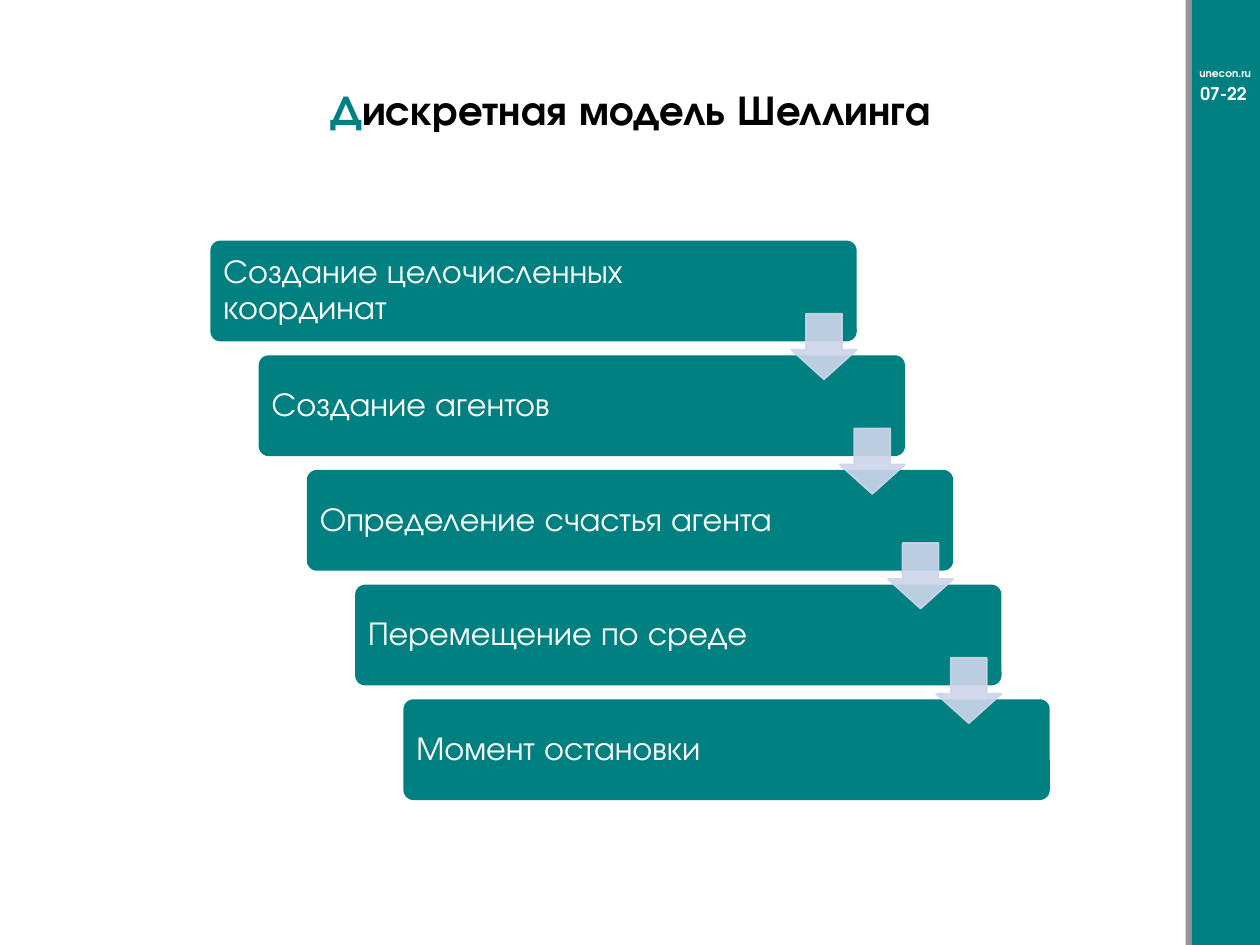
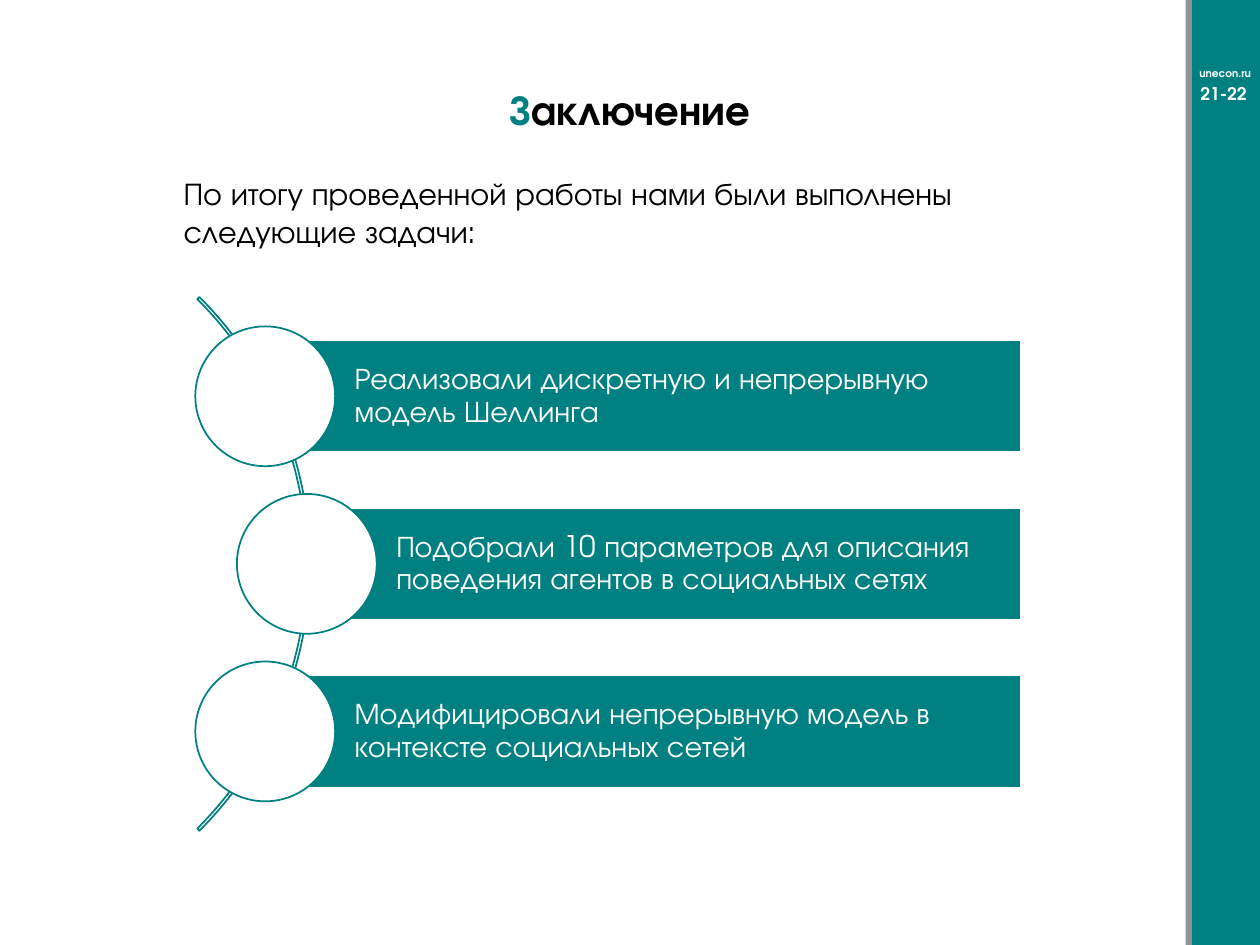
"""Build two slides: the steps of the discrete Schelling model and the conclusion."""
from dataclasses import dataclass

import pptx
import pptx.dml.color
import pptx.enum.shapes
import pptx.enum.text
import pptx.oxml.ns
import pptx.util
from lxml import etree

Inches = pptx.util.Inches
Shape = pptx.enum.shapes.MSO_SHAPE
Align = pptx.enum.text.PP_ALIGN
Anchor = pptx.enum.text.MSO_ANCHOR


@dataclass(frozen=True)
class Theme:
    font: str = "TeX Gyre Adventor"
    teal: str = "008080"
    gray: str = "939598"
    arrow: str = "CFD5EA"
    white: str = "FFFFFF"
    black: str = "000000"
    site_size: int = 6
    page_size: int = 10
    title_size: int = 24
    intro_size: int = 18
    step_size: int = 19
    result_size: int = 17


theme = Theme()


def add_shape(slide, kind, box, fill=None, line=None, adjustments=()):
    shape = slide.shapes.add_shape(kind, *map(Inches, box))
    shape.shadow.inherit = False
    for index, value in enumerate(adjustments):
        shape.adjustments[index] = value
    if fill:
        shape.fill.solid()
        shape.fill.fore_color.rgb = pptx.dml.color.RGBColor.from_string(fill)
    else:
        shape.fill.background()
    if line:
        shape.line.color.rgb = pptx.dml.color.RGBColor.from_string(line)
        shape.line.width = pptx.util.Pt(1)
    else:
        shape.line.fill.background()
    return shape


def write_text(shape, runs, size, bold=False, align=Align.LEFT, anchor=Anchor.TOP,
               insets=(0.1, 0.05, 0.1, 0.05), spacing=None, wrap=True):
    frame = shape.text_frame
    frame.word_wrap = wrap
    frame.vertical_anchor = anchor
    frame.margin_left, frame.margin_top, frame.margin_right, frame.margin_bottom = map(Inches, insets)
    paragraph = frame.paragraphs[0]
    paragraph.alignment = align
    paragraph.line_spacing = spacing
    for text, color in runs:
        run = paragraph.add_run()
        run.text = text
        run.font.name = theme.font
        run.font.size = pptx.util.Pt(size)
        run.font.bold = bold
        run.font.color.rgb = pptx.dml.color.RGBColor.from_string(color)


presentation = pptx.Presentation()
presentation.slide_width = Inches(10)
presentation.slide_height = Inches(7.5)

slides = []
for title, page, title_left, title_width in [
    ("Дискретная модель Шеллинга", "07-22", 2.3, 5.41),
    ("Заключение", "21-22", 3.86, 2.28),
]:
    slide = presentation.slides.add_slide(presentation.slide_layouts[6])
    slides.append(slide)
    add_shape(slide, Shape.RECTANGLE, (9.41, 0, 0.06, 7.5), theme.gray)
    add_shape(slide, Shape.RECTANGLE, (9.46, 0, 0.54, 7.5), theme.teal)
    site_box = slide.shapes.add_textbox(*map(Inches, (9.42, 0.48, 0.62, 0.2)))
    write_text(site_box, [("unecon.ru", theme.white)], theme.site_size, bold=True, anchor=Anchor.MIDDLE)
    page_box = slide.shapes.add_textbox(*map(Inches, (9.42, 0.61, 0.58, 0.27)))
    write_text(page_box, [(page, theme.white)], theme.page_size, bold=True, align=Align.CENTER)
    title_box = slide.shapes.add_textbox(*map(Inches, (title_left, 0.61, title_width, 0.5)))
    write_text(title_box, [(title[0], theme.teal), (title[1:], theme.black)], theme.title_size,
               bold=True, align=Align.CENTER, wrap=False)

model_slide, conclusion_slide = slides

steps = [
    "Создание целочисленных координат",
    "Создание агентов",
    "Определение счастья агента",
    "Перемещение по среде",
    "Момент остановки",
]
step_right, step_down = 0.383, 0.91
for index, step in enumerate(steps):
    box = (1.67 + index * step_right, 1.91 + index * step_down, 5.13, 0.8)
    step_shape = add_shape(model_slide, Shape.ROUNDED_RECTANGLE, box, theme.teal, adjustments=(0.1,))
    write_text(step_shape, [(step, theme.white)], theme.step_size, anchor=Anchor.MIDDLE,
               insets=(0.08, 0.08, 0.98, 0.08), spacing=0.9)

for index in range(len(steps) - 1):
    box = (6.28 + index * step_right, 2.49 + index * step_down, 0.52, 0.52)
    arrow = add_shape(model_slide, Shape.DOWN_ARROW, box, theme.arrow, theme.arrow, (0.55, 0.45))
    for color in arrow._element.spPr.iter(pptx.oxml.ns.qn("a:srgbClr")):
        etree.SubElement(color, pptx.oxml.ns.qn("a:alpha"), val="90000")

add_shape(conclusion_slide, Shape.BLOCK_ARC, (-3.53, 1.48, 5.99, 5.99),
          line=theme.teal, adjustments=(189, 27, 0.004))

results = [
    ("Реализовали дискретную и непрерывную модель Шеллинга", 1.55),
    ("Подобрали 10 параметров для описания поведения агентов в социальных сетях", 1.88),
    ("Модифицировали непрерывную модель в контексте социальных сетей", 1.55),
]
bars_right = 8.1
for index, (result, circle_left) in enumerate(results):
    circle_top = 2.59 + index * 1.33
    bar_left = circle_left + 0.555
    bar = add_shape(conclusion_slide, Shape.RECTANGLE,
                    (bar_left, circle_top + 0.11, bars_right - bar_left, 0.89), theme.teal, theme.white)
    write_text(bar, [(result, theme.white)], theme.result_size, anchor=Anchor.MIDDLE,
               insets=(0.71, 0.05, 0.05, 0.05), spacing=0.9)
    add_shape(conclusion_slide, Shape.OVAL, (circle_left, circle_top, 1.11, 1.11), theme.white, theme.teal)

intro_box = conclusion_slide.shapes.add_textbox(*map(Inches, (1.36, 1.33, 7.47, 0.71)))
write_text(intro_box, [("По итогу проведенной работы нами были выполнены следующие задачи:", theme.black)],
           theme.intro_size)

presentation.save("out.pptx")
